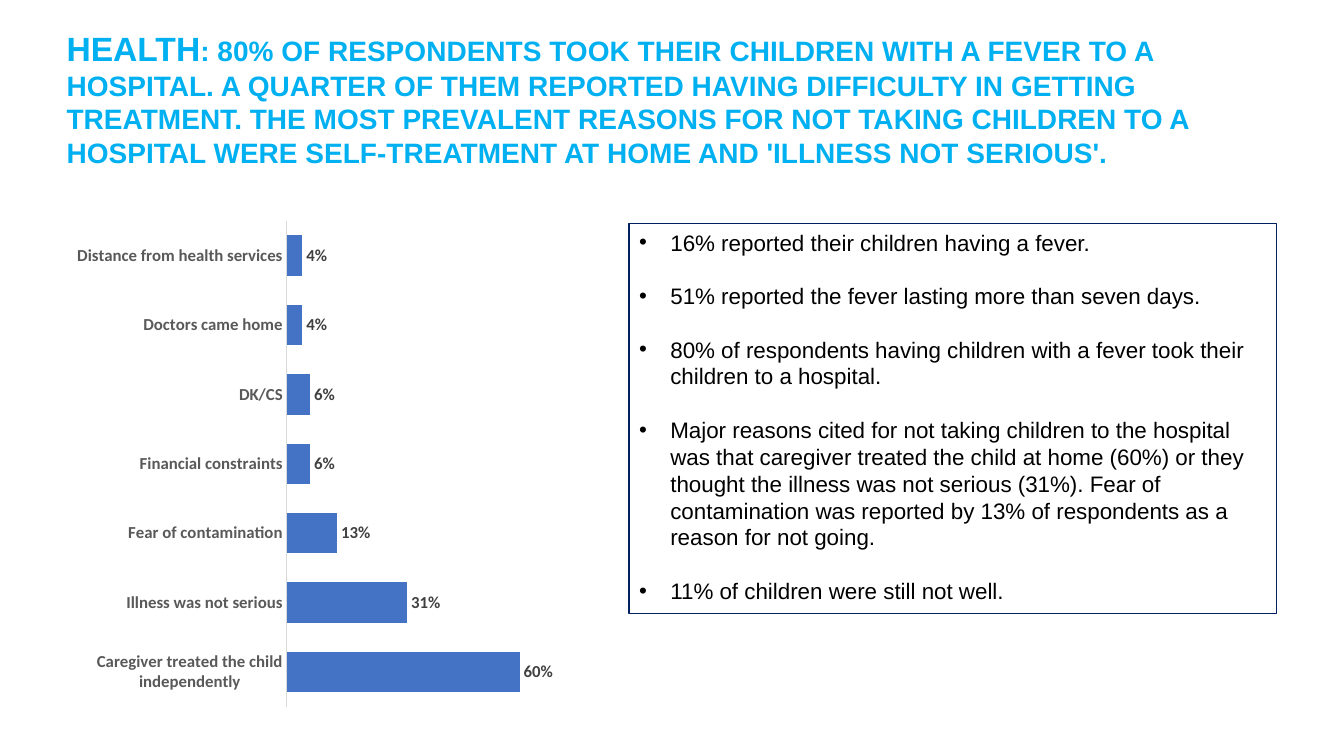
from lxml import etree
from pptx import Presentation
from pptx import util as u
from pptx.chart.data import CategoryChartData
from pptx.dml.color import RGBColor
from pptx.enum import chart as ch, text
from pptx.oxml.ns import qn

SKY = RGBColor(0x00, 0xB0, 0xF0)
NAVY = RGBColor(0x00, 0x20, 0x60)
BLACK = RGBColor(0x00, 0x00, 0x00)
BAR_BLUE = RGBColor(0x44, 0x72, 0xC4)
LABEL_GREY = RGBColor(0x40, 0x40, 0x40)
AXIS_GREY = RGBColor(0x59, 0x59, 0x59)
RULE_GREY = RGBColor(0xD9, 0xD9, 0xD9)

WIDTH, HEIGHT = u.Inches(13.33), u.Inches(7.5)
LEFT, RIGHT = 0.042, 0.95  # text margins, shares of the slide width

HEADLINE = [
    ("HEALTH", 24),
    (": 80% OF RESPONDENTS TOOK THEIR CHILDREN WITH A FEVER TO A HOSPITAL. "
     "A QUARTER OF THEM REPORTED HAVING DIFFICULTY IN GETTING TREATMENT. "
     "THE MOST PREVALENT REASONS FOR NOT TAKING CHILDREN TO A HOSPITAL WERE "
     "SELF-TREATMENT AT HOME AND 'ILLNESS NOT SERIOUS'.", 20),
]
FINDINGS = [
    "16% reported their children having a fever.",
    "51% reported the fever lasting more than seven days.",
    "80% of respondents having children with a fever took their children to a hospital.",
    "Major reasons cited for not taking children to the hospital was that caregiver "
    "treated the child at home (60%) or they thought the illness was not serious (31%). "
    "Fear of contamination was reported by 13% of respondents as a reason for not going.",
    "11% of children were still not well.",
]
REASONS = {
    "Caregiver treated the child independently": 0.60,
    "Illness was not serious": 0.31,
    "Fear of contamination": 0.13,
    "Financial constraints": 0.06,
    "DK/CS": 0.06,
    "Doctors came home": 0.04,
    "Distance from health services": 0.04,
}


def area(left, top, right, bottom):
    """Turn edges given as shares of the slide into left, top, width, height."""
    return (int(WIDTH * left), int(HEIGHT * top),
            int(WIDTH * (right - left)), int(HEIGHT * (bottom - top)))


def place(holder, box):
    holder.left, holder.top, holder.width, holder.height = box
    frame = holder.text_frame
    frame.word_wrap = True
    frame.auto_size = text.MSO_AUTO_SIZE.NONE
    frame.vertical_anchor = text.MSO_ANCHOR.TOP
    return frame


def style(font, name, size, color, bold=False):
    font.name, font.size, font.bold = name, u.Pt(size), bold
    font.color.rgb = color


def add_run(paragraph, words, size, color, bold=False):
    run = paragraph.add_run()
    run.text = words
    style(run.font, "Arial", size, color, bold)


def add_bullet(paragraph, indent):
    props = paragraph._p.get_or_add_pPr()
    props.set("marL", str(indent))
    props.set("indent", str(-indent))
    etree.SubElement(props, qn("a:buFont")).set("typeface", "Arial")
    etree.SubElement(props, qn("a:buChar")).set("char", "•")


def write_headline(title):
    paragraph = place(title, area(LEFT, 0.03, RIGHT, 0.23)).paragraphs[0]
    paragraph.alignment = text.PP_ALIGN.LEFT
    for words, size in HEADLINE:
        add_run(paragraph, words, size, SKY, bold=True)


def write_findings(body):
    frame = place(body, area(0.468, 0.296, RIGHT, 0.812))
    body.line.color.rgb = NAVY
    body.line.width = u.Pt(0.75)
    for i, finding in enumerate(FINDINGS):
        paragraph = frame.add_paragraph() if i else frame.paragraphs[0]
        add_bullet(paragraph, u.Inches(0.31))
        paragraph.line_spacing = 1.0
        paragraph.space_before = u.Pt(19 if i else 0)
        add_run(paragraph, finding, 16, BLACK)


def add_reasons_chart(slide):
    data = CategoryChartData(number_format="0%")
    data.categories = list(REASONS)
    data.add_series("Series 1", list(REASONS.values()))
    chart = slide.shapes.add_chart(ch.XL_CHART_TYPE.BAR_CLUSTERED,
                                   *area(0.05, 0.279, 0.423, 0.948), data).chart
    style(chart.font, "Calibri", 12, BLACK)
    chart.has_legend = chart.has_title = False

    reasons = chart.category_axis
    reasons.major_tick_mark = reasons.minor_tick_mark = ch.XL_TICK_MARK.NONE
    reasons.format.line.color.rgb = RULE_GREY
    reasons.format.line.width = u.Pt(0.75)
    style(reasons.tick_labels.font, "Calibri", 12, AXIS_GREY, bold=True)

    shares = chart.value_axis
    shares.visible = shares.has_major_gridlines = False
    shares.minimum_scale, shares.maximum_scale = 0, 0.7

    plot = chart.plots[0]
    plot.vary_by_categories = False
    plot.gap_width = 72
    fill = plot.series[0].format.fill
    fill.solid()
    fill.fore_color.rgb = BAR_BLUE

    plot.has_data_labels = True
    labels = plot.data_labels
    labels.show_value = True
    labels.number_format, labels.number_format_is_linked = "0%", False
    labels.position = ch.XL_LABEL_POSITION.OUTSIDE_END
    style(labels.font, "Calibri", 12, LABEL_GREY, bold=True)


def main():
    deck = Presentation()
    deck.slide_width, deck.slide_height = WIDTH, HEIGHT
    slide = deck.slides.add_slide(deck.slide_layouts[1])
    write_findings(slide.placeholders[1])
    write_headline(slide.shapes.title)
    add_reasons_chart(slide)
    deck.save("out.pptx")


if __name__ == "__main__":
    main()
